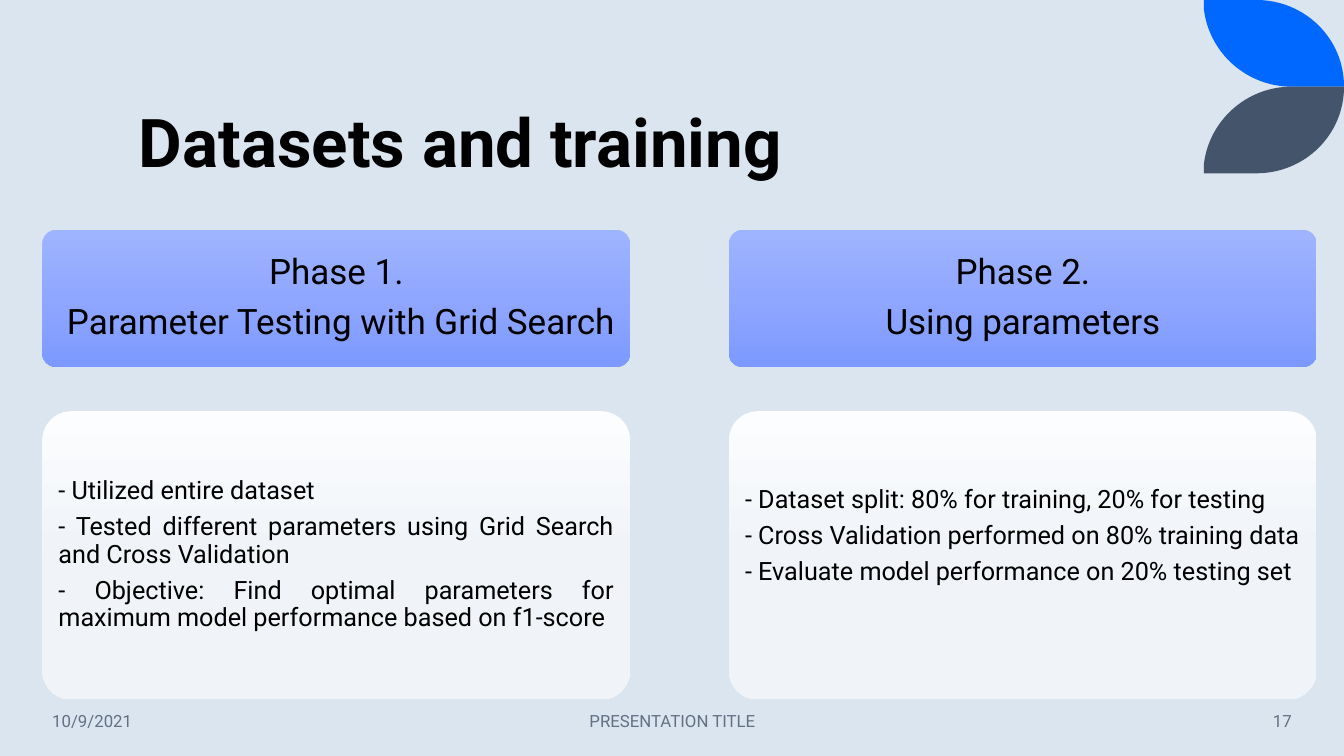
from copy import deepcopy

from pptx import Presentation
from pptx.dml.color import RGBColor
from pptx.enum.shapes import MSO_SHAPE
from pptx.enum.text import MSO_ANCHOR, PP_ALIGN
from pptx.oxml.ns import qn
from pptx.util import Inches, Pt

FONT = "Roboto"
COLORS = {
    "background": "DAE5EF",
    "leaf_blue": "0068FF",
    "leaf_slate": "44546A",
    "text": "000000",
    "footer": "637183",
}
GRADIENTS = {
    "header": ("9EB4FF", "90A7FF", "7C99FF"),
    "body": ("FCFDFE", "F0F4F9", "EEF3F8"),
}
SLIDE_WIDTH, SLIDE_HEIGHT = 13.33, 7.5
LEFT_MARGIN, COLUMN_PITCH, CARD_WIDTH = 0.42, 6.81, 5.83
HEADER_TOP, HEADER_HEIGHT = 2.28, 1.36
BODY_TOP, BODY_HEIGHT = 4.08, 2.86
FOOTER_TOP, FOOTER_HEIGHT = 6.95, 0.4
LEAF_LEFT, LEAF_WIDTH, LEAF_HEIGHT = 11.94, 1.39, 0.86
# Each segment is a line (one point) or a Bezier curve (three points).
LEAF_SEGMENTS = [
    [(0.52, 0)],
    [(1, 0), (LEAF_WIDTH, 0.38), (LEAF_WIDTH, LEAF_HEIGHT)],
    [(0.87, LEAF_HEIGHT)],
    [(0.42, LEAF_HEIGHT), (0.05, 0.52), (0, 0.09)],
]

PHASES = [
    {
        "header": ["Phase 1.", " Parameter Testing with Grid Search"],
        "body": [
            "- Utilized entire dataset",
            "- Tested different parameters using Grid Search and Cross Validation",
            "- Objective: Find optimal parameters for maximum model performance "
            "based on f1-score",
        ],
        "align": PP_ALIGN.JUSTIFY,
        "lift": 0,
    },
    {
        "header": ["Phase 2.", "Using parameters"],
        "body": [
            "- Dataset split: 80% for training, 20% for testing",
            "- Cross Validation performed on 80% training data",
            "- Evaluate model performance on 20% testing set",
        ],
        "align": PP_ALIGN.LEFT,
        "lift": 0.36,
    },
]
FOOTERS = [
    (0.42, 1.86, "10/9/2021", PP_ALIGN.LEFT),
    (4.42, 4.5, "PRESENTATION TITLE", PP_ALIGN.CENTER),
    (11.1, 1.81, "17", PP_ALIGN.RIGHT),
]


def rgb(name):
    return RGBColor.from_string(COLORS[name])


def add_text(page, area, lines, size, align=PP_ALIGN.LEFT, color="text", bold=False,
             anchor=MSO_ANCHOR.MIDDLE, insets=(0.1, 0.05, 0.1, 0.05),
             line_spacing=1.0, space_share=0):
    """Add a text box; insets run left, top, right, bottom, and space_share
    is the gap after each paragraph as a share of the font size."""
    frame = page.shapes.add_textbox(*map(Inches, area)).text_frame
    frame.word_wrap = True
    frame.vertical_anchor = anchor
    (frame.margin_left, frame.margin_top,
     frame.margin_right, frame.margin_bottom) = map(Inches, insets)
    frame.text = "\n".join(lines)
    for para in frame.paragraphs:
        para.alignment = align
        para.line_spacing = line_spacing
        para.space_after = Pt(size * space_share)
        para.font.name = FONT
        para.font.size = Pt(size)
        para.font.bold = bold
        para.font.color.rgb = rgb(color)


def add_card(page, area, gradient):
    card = page.shapes.add_shape(MSO_SHAPE.ROUNDED_RECTANGLE, *map(Inches, area))
    card.adjustments[0] = 0.1
    card.shadow.inherit = False
    card.line.fill.background()
    card.fill.gradient()
    card.fill.gradient_angle = 270
    stop_list = card._element.spPr.find(qn("a:gradFill")).find(qn("a:gsLst"))
    stop_list.insert(1, deepcopy(stop_list[0]))
    for index, stop in enumerate(card.fill.gradient_stops):
        stop.position = index / 2
        stop.color.rgb = RGBColor.from_string(GRADIENTS[gradient][index])


def bend_segments(shape, segments):
    """Turn the lines that stand for three-point segments into Bezier curves."""
    lines = list(shape._element.iter(qn("a:lnTo")))
    for segment in segments:
        group, lines = lines[:len(segment)], lines[len(segment):]
        if len(group) == 3:
            bezier = group[0].makeelement(qn("a:cubicBezTo"))
            group[0].addprevious(bezier)
            for line in group:
                bezier.append(line[0])
                line.getparent().remove(line)


def add_leaf(page, color, mirrored=False):
    """Add a corner leaf; the mirrored one hangs below the first."""
    points = [(Inches(LEAF_LEFT + x), Inches(2 * LEAF_HEIGHT - y if mirrored else y))
              for x, y in [(0, 0), *sum(LEAF_SEGMENTS, [])]]
    builder = page.shapes.build_freeform(*points[0])
    builder.add_line_segments(points[1:], close=True)
    leaf = builder.convert_to_shape()
    bend_segments(leaf, LEAF_SEGMENTS)
    leaf.shadow.inherit = False
    leaf.fill.solid()
    leaf.fill.fore_color.rgb = rgb(color)
    leaf.line.fill.background()


def add_phase(page, column, phase):
    left = LEFT_MARGIN + column * COLUMN_PITCH
    add_card(page, (left, HEADER_TOP, CARD_WIDTH, HEADER_HEIGHT), "header")
    add_text(page, (left + 0.04, HEADER_TOP + 0.04, CARD_WIDTH - 0.08, HEADER_HEIGHT - 0.08),
             phase["header"], 25, PP_ALIGN.CENTER, insets=(0.1,) * 4,
             line_spacing=0.9, space_share=0.35)
    add_card(page, (left, BODY_TOP, CARD_WIDTH, BODY_HEIGHT), "body")
    add_text(page, (left + 0.08, BODY_TOP + 0.08, CARD_WIDTH - 0.17, BODY_HEIGHT - 0.17),
             phase["body"], 18, phase["align"],
             insets=(0.08, 0.07, 0.07, 0.07 + phase["lift"]),
             line_spacing=0.9, space_share=0.35)


def main():
    deck = Presentation()
    deck.slide_width = Inches(SLIDE_WIDTH)
    deck.slide_height = Inches(SLIDE_HEIGHT)
    page = deck.slides.add_slide(deck.slide_layouts[6])
    page.background.fill.solid()
    page.background.fill.fore_color.rgb = rgb("background")

    add_leaf(page, "leaf_blue")
    add_leaf(page, "leaf_slate", mirrored=True)
    add_text(page, (1.28, 0.41, 10.69, 1.45), ["Datasets and training"], 48,
             bold=True, anchor=MSO_ANCHOR.BOTTOM, line_spacing=0.9)
    for column, phase in enumerate(PHASES):
        add_phase(page, column, phase)
    for left, width, label, align in FOOTERS:
        add_text(page, (left, FOOTER_TOP, width, FOOTER_HEIGHT), [label], 12, align, "footer")

    deck.save("out.pptx")


if __name__ == "__main__":
    main()
